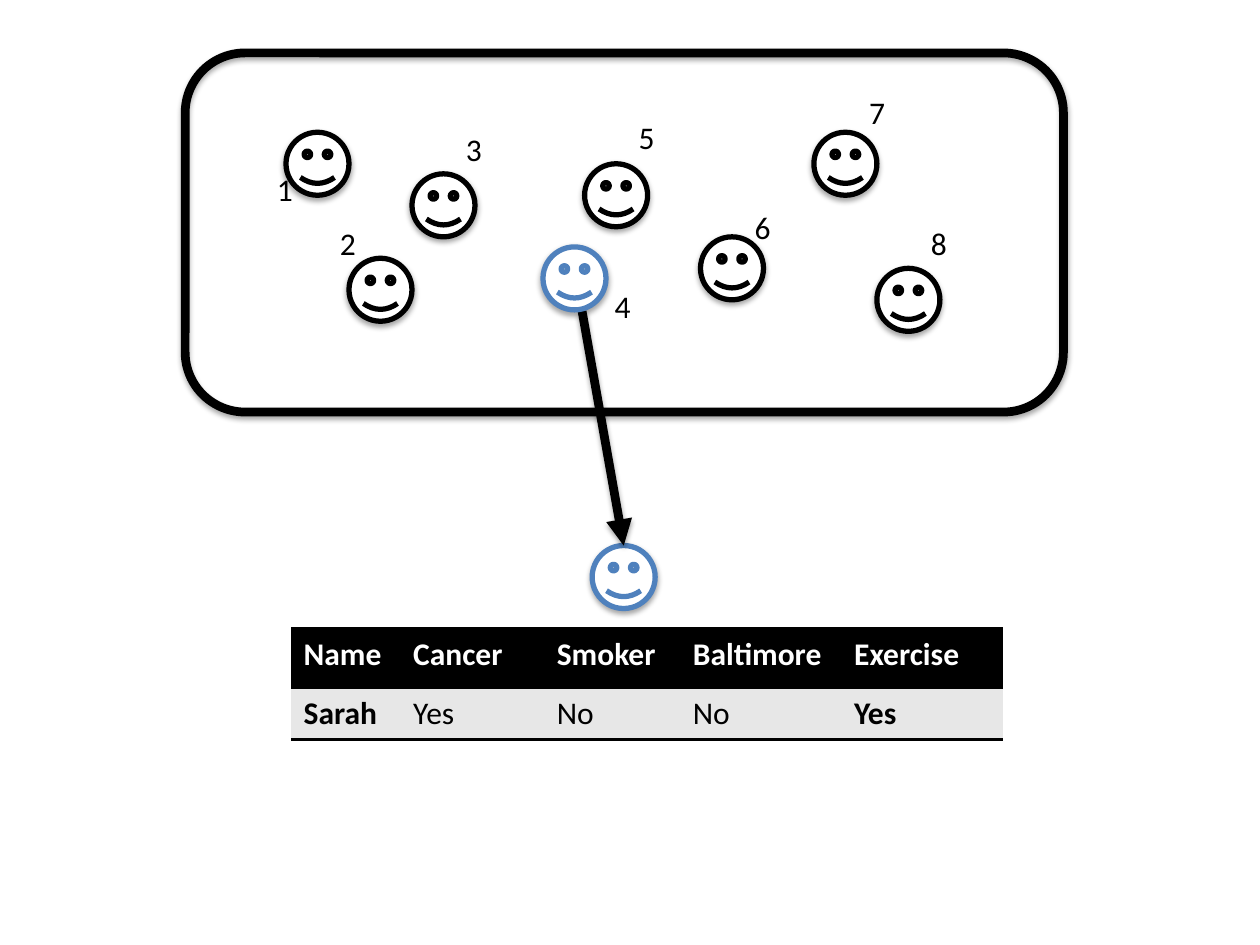
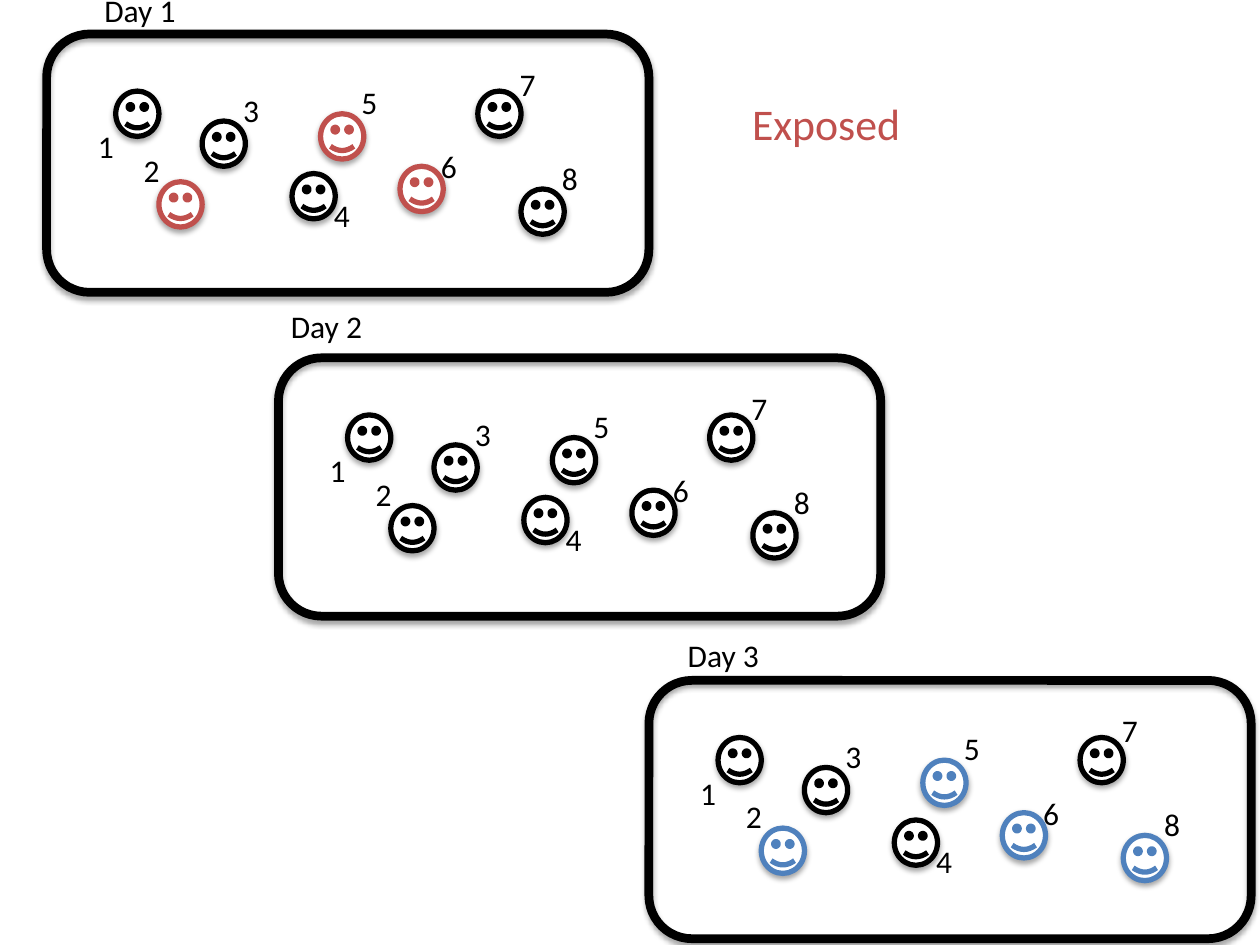
"""Build two slides that show a group of people sampled once and followed over three days."""
from dataclasses import dataclass, field
from typing import Any

import lxml.etree
import pptx
import pptx.dml.color
import pptx.enum.shapes
import pptx.enum.text
import pptx.oxml.ns
import pptx.util

BLACK = pptx.dml.color.RGBColor(0x00, 0x00, 0x00)
WHITE = pptx.dml.color.RGBColor(0xFF, 0xFF, 0xFF)
GREY = pptx.dml.color.RGBColor(0xE7, 0xE7, 0xE7)
BLUE = pptx.dml.color.RGBColor(0x4F, 0x81, 0xBD)
RED = pptx.dml.color.RGBColor(0xC0, 0x50, 0x4D)

SLIDE_COLUMNS, SLIDE_ROWS = 10, 7.5
SLIDE_WIDTH, SLIDE_HEIGHT = pptx.util.Inches(10), pptx.util.Inches(7.5)
PANEL_COLUMNS, PANEL_ROWS = 6.97, 2.85
FACE_SPAN = 0.5
LABEL_SPAN = 0.33
BODY_FONT = {"name": "Calibri", "size": pptx.util.Pt(18), "bold": False}
SHAPES = pptx.enum.shapes.MSO_SHAPE


@dataclass(frozen=True)
class Box:
    """Place and size in columns and rows of the slide."""
    column: float
    row: float
    columns: float
    rows: float

    def lengths(self) -> tuple[int, int, int, int]:
        """Return left, top, width and height."""
        return across(self.column), down(self.row), across(self.columns), down(self.rows)


@dataclass(frozen=True)
class Person:
    """Face and number positions in columns and rows of a panel."""
    face: tuple[float, float]
    number: tuple[float, float]


@dataclass(frozen=True)
class Panel:
    """Framed group of people, with coloured faces and moved numbers."""
    box: Box
    colours: dict[int, pptx.dml.color.RGBColor] = field(default_factory=dict)
    moved_numbers: dict[int, tuple[float, float]] = field(default_factory=dict)
    number_rows: float = 0.71
    wrap: bool = True


@dataclass(frozen=True)
class Caption:
    """Single line of text on the slide."""
    text: str
    box: Box
    size: float = 18
    colour: pptx.dml.color.RGBColor = BLACK


PEOPLE = {
    1: Person((0.8, 0.63), (0.45, 0.96)),
    2: Person((1.3, 1.63), (0.98, 1.22)),
    3: Person((1.8, 0.96), (2.13, 0.56)),
    4: Person((2.84, 1.54), (3.18, 1.72)),
    5: Person((3.17, 0.88), (3.5, 0.47)),
    6: Person((4.09, 1.46), (4.42, 1.18)),
    7: Person((4.99, 0.63), (5.33, 0.27)),
    8: Person((5.49, 1.71), (5.82, 1.31)),
}
SAMPLED_GROUP = Panel(
    Box(1.47, 0.42, PANEL_COLUMNS, PANEL_ROWS), {4: BLUE},
    {1: (0.63, 0.88), 2: (1.13, 1.31), 4: (3.31, 1.81)}, number_rows=0.4, wrap=False)
DAY_PANELS = (
    Panel(Box(0.37, 0.27, 4.78, 2.05), dict.fromkeys((2, 5, 6), RED)),
    Panel(Box(2.21, 2.84, 4.78, 2.05)),
    Panel(Box(5.15, 5.4, 4.78, 2.05), dict.fromkeys((2, 5, 6, 8), BLUE)),
)
CAPTIONS = (
    Caption("Day 1", Box(0.73, -0.12, 0.77, 0.4)),
    Caption("Day 2", Box(2.21, 2.39, 0.77, 0.4)),
    Caption("Day 3", Box(5.36, 5, 0.77, 0.4)),
    Caption("Exposed", Box(5.87, 0.72, 1.39, 0.52), 25, RED),
)
SAMPLED_FACE = Box(4.7, 4.33, FACE_SPAN, FACE_SPAN)
ARROW_START, ARROW_END = (4.62, 2.47), (4.95, 4.33)
RECORD_BOX = Box(2.31, 4.99, 5.65, 0.87)
RECORD_COLUMNS = (0.87, 1.14, 1.08, 1.28, 1.28)
RECORD_ROWS = (0.47, 0.4)
RECORD = (
    ("Name", "Cancer", "Smoker", "Baltimore", "Exercise"),
    ("Sarah", "Yes", "No", "No", "Yes"),
)


def across(columns: float) -> int:
    """Turn slide columns into a length."""
    return round(columns * SLIDE_WIDTH / SLIDE_COLUMNS)


def down(rows: float) -> int:
    """Turn slide rows into a length."""
    return round(rows * SLIDE_HEIGHT / SLIDE_ROWS)


def set_formats(target: Any, formats: dict[str, Any]) -> None:
    """Set each named attribute of the target."""
    for name, value in formats.items():
        setattr(target, name, value)


def add_element(parent: Any, tag: str, **attributes: str) -> Any:
    """Append a DrawingML element."""
    return lxml.etree.SubElement(parent, pptx.oxml.ns.qn(tag), attributes)


def add_shadow(shape: Any, distance: float = 1.8, opacity: int = 35) -> None:
    """Give a shape a soft shadow straight below it."""
    effects = add_element(shape.element.spPr, "a:effectLst")
    shadow = add_element(
        effects, "a:outerShdw", blurRad=str(pptx.util.Pt(3.1)),
        dist=str(pptx.util.Pt(distance)), dir="5400000", rotWithShape="0")
    colour = add_element(shadow, "a:srgbClr", val=str(BLACK))
    add_element(colour, "a:alpha", val=str(opacity * 1000))


def set_line(line: Any, colour: pptx.dml.color.RGBColor, width: float) -> None:
    """Colour a line and set its width in points."""
    line.color.rgb = colour
    line.width = pptx.util.Pt(width)


def add_outline(slide: Any, kind: Any, box: Box, colour: pptx.dml.color.RGBColor,
                width: float, filled: bool) -> None:
    """Draw an outlined shape with a shadow."""
    shape = slide.shapes.add_shape(kind, *box.lengths())
    if filled:
        shape.fill.solid()
        shape.fill.fore_color.rgb = WHITE
    else:
        shape.fill.background()
    set_line(shape.line, colour, width)
    add_shadow(shape)


def add_face(slide: Any, box: Box, colour: pptx.dml.color.RGBColor) -> None:
    """Draw one smiling face."""
    add_outline(slide, SHAPES.SMILEY_FACE, box, colour, 3, filled=True)


def write(text_frame: Any, text: str, colour: pptx.dml.color.RGBColor, **formats: Any) -> None:
    """Write one run of text."""
    run = text_frame.paragraphs[0].add_run()
    run.text = text
    set_formats(run.font, BODY_FONT | formats)
    run.font.color.rgb = colour


def add_caption(slide: Any, caption: Caption, wrap: bool = False) -> None:
    """Place a caption in a text box."""
    text_frame = slide.shapes.add_textbox(*caption.box.lengths()).text_frame
    set_formats(text_frame, {
        "word_wrap": wrap, "auto_size": pptx.enum.text.MSO_AUTO_SIZE.SHAPE_TO_FIT_TEXT})
    write(text_frame, caption.text, caption.colour, size=pptx.util.Pt(caption.size))


def add_panel(slide: Any, panel: Panel) -> None:
    """Draw a frame with its numbered people, scaled to the frame."""
    box = panel.box
    column_scale, row_scale = box.columns / PANEL_COLUMNS, box.rows / PANEL_ROWS

    def place(position: tuple[float, float], columns: float, rows: float) -> Box:
        """Turn a panel position into a box on the slide."""
        return Box(box.column + position[0] * column_scale,
                   box.row + position[1] * row_scale, columns, rows)

    add_outline(slide, SHAPES.ROUNDED_RECTANGLE, box, BLACK, 5, filled=False)
    for number, person in PEOPLE.items():
        face = place(person.face, FACE_SPAN * column_scale, FACE_SPAN * row_scale)
        add_face(slide, face, panel.colours.get(number, BLACK))
    for number, person in PEOPLE.items():
        position = panel.moved_numbers.get(number, person.number)
        number_box = place(position, LABEL_SPAN * column_scale, panel.number_rows)
        add_caption(slide, Caption(str(number), number_box), panel.wrap)


def add_arrow(slide: Any, start: tuple[float, float], end: tuple[float, float]) -> None:
    """Draw a thick arrow."""
    connector = slide.shapes.add_connector(
        pptx.enum.shapes.MSO_CONNECTOR.STRAIGHT,
        across(start[0]), down(start[1]), across(end[0]), down(end[1]))
    set_line(connector.line, BLACK, 5)
    add_element(connector.line._get_or_add_ln(), "a:tailEnd", type="triangle")
    add_shadow(connector, distance=1.6, opacity=38)


def set_borders(cell: Any) -> None:
    """Rule a cell above and below only."""
    properties = cell._tc.get_or_add_tcPr()
    for side in "LRTB":
        border = add_element(properties, f"a:ln{side}", w=str(pptx.util.Pt(2)))
        if side in "TB":
            add_element(add_element(border, "a:solidFill"), "a:srgbClr", val=str(BLACK))
        else:
            add_element(border, "a:noFill")


def add_record(slide: Any) -> None:
    """Draw the table for the sampled person."""
    table = slide.shapes.add_table(
        len(RECORD), len(RECORD_COLUMNS), *RECORD_BOX.lengths()).table
    set_formats(table, {"first_row": True, "first_col": True, "last_col": True,
                        "horz_banding": False})
    for column, columns in zip(table.columns, RECORD_COLUMNS):
        column.width = across(columns)
    for row, rows in zip(table.rows, RECORD_ROWS):
        row.height = down(rows)
    for row_index, texts in enumerate(RECORD):
        is_header = row_index == 0
        for column_index, text in enumerate(texts):
            cell = table.cell(row_index, column_index)
            set_borders(cell)
            cell.fill.solid()
            cell.fill.fore_color.rgb = BLACK if is_header else GREY
            is_bold = is_header or column_index in (0, len(texts) - 1)
            write(cell.text_frame, text, WHITE if is_header else BLACK, bold=is_bold)


def build_sample_slide(slide: Any) -> None:
    """Show one person drawn from the group."""
    add_face(slide, SAMPLED_FACE, BLUE)
    add_record(slide)
    add_arrow(slide, ARROW_START, ARROW_END)
    add_panel(slide, SAMPLED_GROUP)


def build_days_slide(slide: Any) -> None:
    """Show the group on three days."""
    for panel in DAY_PANELS:
        add_panel(slide, panel)
    for caption in CAPTIONS:
        add_caption(slide, caption)


def main() -> None:
    """Build and save the presentation."""
    presentation = pptx.Presentation()
    set_formats(presentation, {"slide_width": SLIDE_WIDTH, "slide_height": SLIDE_HEIGHT})
    for build in (build_sample_slide, build_days_slide):
        build(presentation.slides.add_slide(presentation.slide_layouts[6]))
    presentation.save("out.pptx")


if __name__ == "__main__":
    main()
